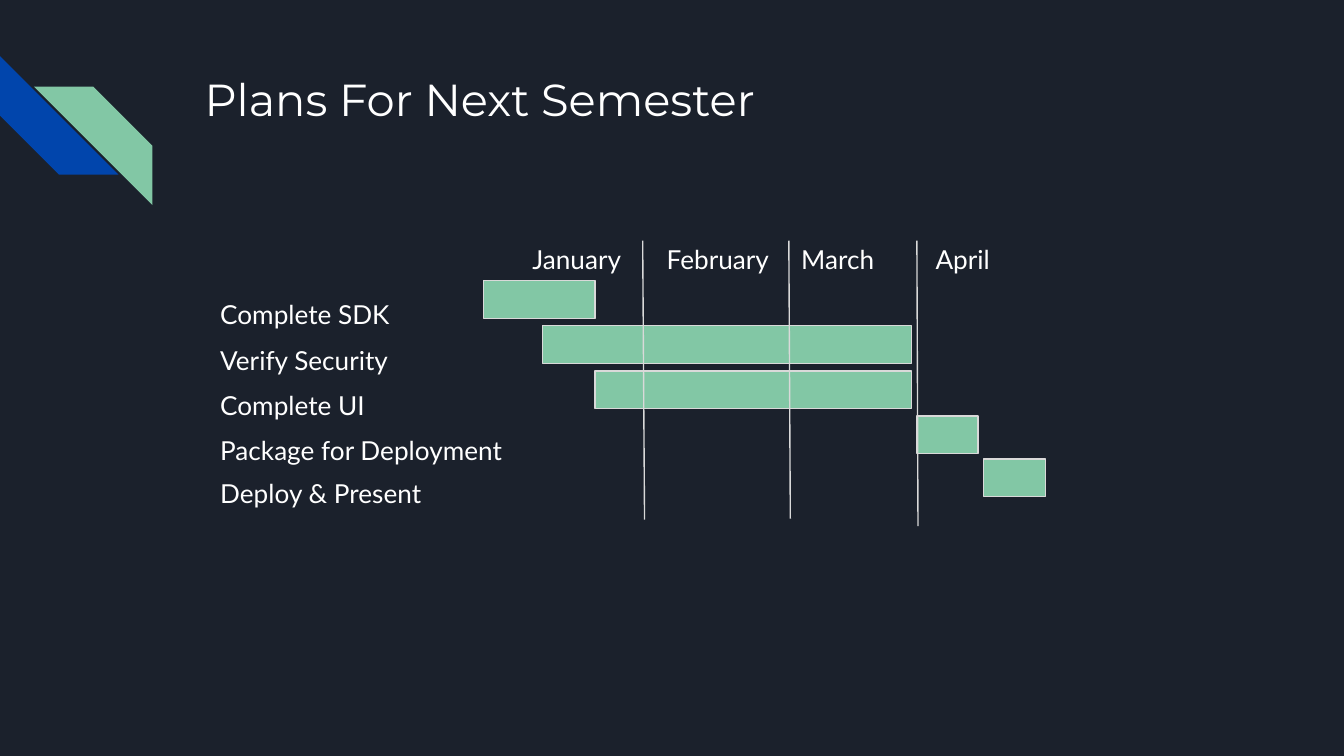
"""Build the semester plan slide with its Gantt chart."""
from lxml import etree
from pptx import Presentation
from pptx.dml.color import RGBColor
from pptx.enum.shapes import MSO_CONNECTOR, MSO_SHAPE
from pptx.enum.text import MSO_ANCHOR, MSO_AUTO_SIZE, PP_ALIGN
from pptx.oxml.ns import qn
from pptx.util import Pt

RECTANGLE, STRIPE = MSO_SHAPE.RECTANGLE, MSO_SHAPE.DIAGONAL_STRIPE
STRAIGHT = MSO_CONNECTOR.STRAIGHT
TOP, LEFT, NO_FIT = MSO_ANCHOR.TOP, PP_ALIGN.LEFT, MSO_AUTO_SIZE.NONE

COLORS = {"night": "1B212C", "blue": "0145AC", "green": "82C7A5",
          "white": "FFFFFF", "grey": "D9D9D9"}
TITLE = "Plans For Next Semester"
MONTHS = ["January", "February", "March", "April"]
TASKS = [
    ("Complete SDK", 150.3, 259.1, 59.8),
    ("Verify Security", 174.5, 290.7, 197.5),
    ("Complete UI", 198.7, 318.8, 169.5),
    ("Package for Deployment", 222.8, 491.2, 32.7),
    ("Deploy & Present", 245.9, 527, 33.2),
]
MONTH_LINES = [(344.3, 345.3, 278.4), (422.6, 423.4, 277.8), (491.2, 491.8, 281.9)]
STRIPES = [(0, 30.1, 270, "blue"), (18.2, 46.4, 90, "green")]

STRIPE_SIZE, BAR_HEIGHT, LINE_TOP = 63.5, 20.2, 129
LABEL_LEFT, LABEL_OFFSET = 110.9, -5.8
BODY = {"name": "Lato", "size": Pt(14)}
HEADING = {"name": "Montserrat", "size": Pt(24)}
FRAME = {"word_wrap": True, "auto_size": NO_FIT, "vertical_anchor": TOP,
         "margin_left": Pt(7.2), "margin_right": Pt(7.2),
         "margin_top": Pt(7.2), "margin_bottom": Pt(7.2)}


def color(name):
    return RGBColor.from_string(COLORS[name])


def apply(target, values):
    for key, value in values.items():
        setattr(target, key, value)


def write(box, text, font, spacing=1.0):
    apply(box.text_frame, FRAME)
    paragraph = box.text_frame.paragraphs[0]
    apply(paragraph, {"alignment": LEFT, "line_spacing": spacing})
    run = paragraph.add_run()
    run.text = text
    apply(run.font, font)
    run.font.color.rgb = color("white")


def add_text(slide, text, left, top, width, height, spacing=1.0):
    box = slide.shapes.add_textbox(Pt(left), Pt(top), Pt(width), Pt(height))
    write(box, text, BODY, spacing)


def add_filled(slide, kind, left, top, width, height, fill):
    shape = slide.shapes.add_shape(kind, Pt(left), Pt(top), Pt(width), Pt(height))
    shape.shadow.inherit = False
    shape.fill.solid()
    shape.fill.fore_color.rgb = color(fill)
    return shape


def outline(part):
    part.line.color.rgb = color("grey")
    part.line.width = Pt(0.75)


def main():
    deck = Presentation()
    apply(deck, {"slide_width": Pt(720), "slide_height": Pt(405)})
    slide = deck.slides.add_slide(deck.slide_layouts[5])
    slide.background.fill.solid()
    slide.background.fill.fore_color.rgb = color("night")

    for left, top, rotation, fill in STRIPES:
        stripe = add_filled(slide, STRIPE, left, top, STRIPE_SIZE, STRIPE_SIZE, fill)
        stripe.line.fill.background()
        stripe.rotation = rotation

    heading = slide.shapes.title
    apply(heading, {"left": Pt(102.4), "top": Pt(31), "width": Pt(554.4), "height": Pt(38.9)})
    write(heading, TITLE, HEADING)

    add_text(slide, "\t".join(MONTHS), 278.1, 123.1, 331.2, 38.9)
    for task, top, start, length in TASKS:
        add_text(slide, task, LABEL_LEFT, top + LABEL_OFFSET, 197.3, 31, 1.5)
        outline(add_filled(slide, RECTANGLE, start, top, length, BAR_HEIGHT, "green"))

    for start, end, bottom in MONTH_LINES:
        divider = slide.shapes.add_connector(
            STRAIGHT, Pt(start), Pt(LINE_TOP), Pt(end), Pt(bottom))
        outline(divider)
        etree.SubElement(divider._element.spPr, qn("a:effectLst"))

    deck.save("out.pptx")


if __name__ == "__main__":
    main()
